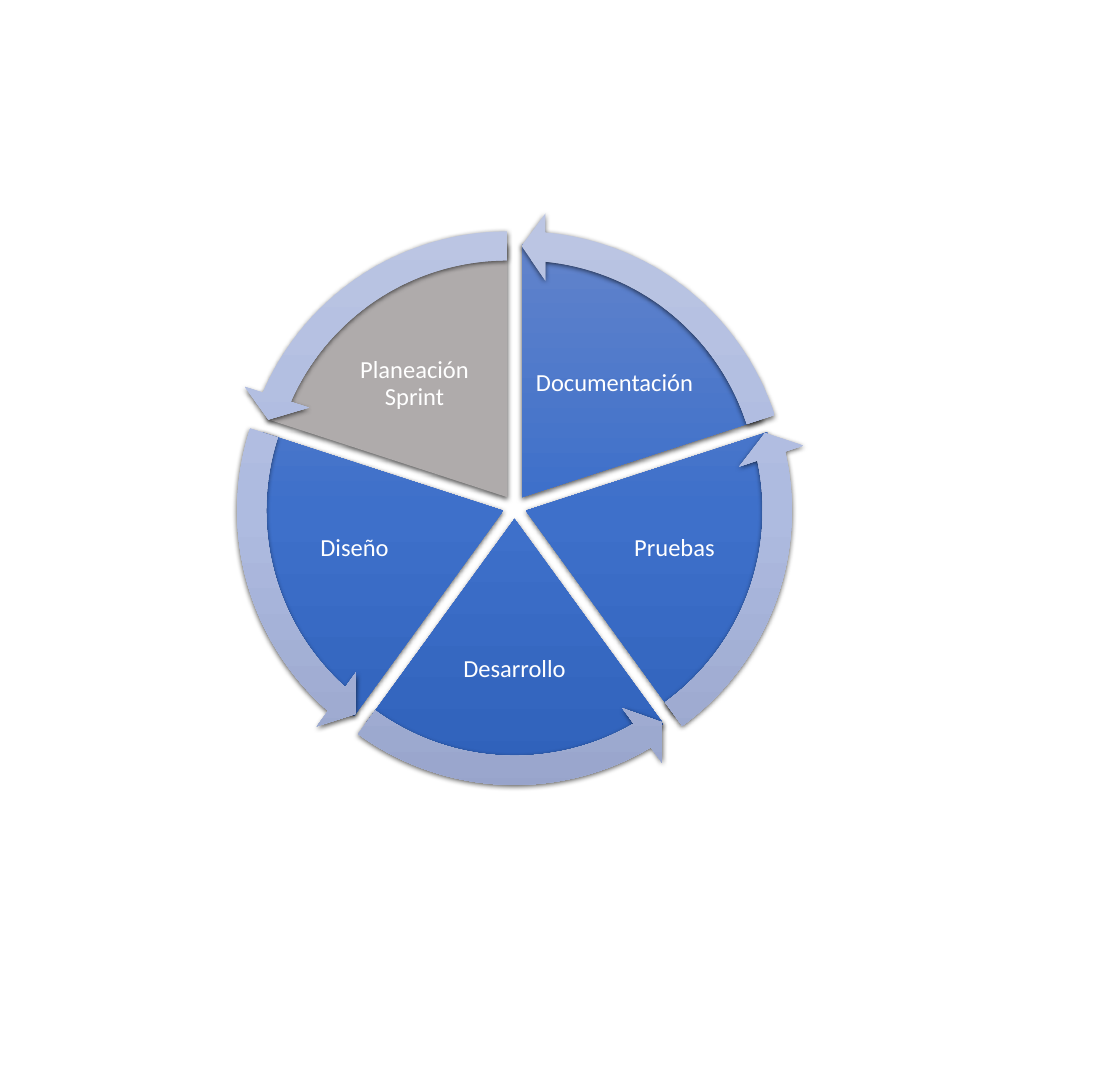
import math
import lxml.etree
import pptx
import pptx.util
from pptx.dml.color import RGBColor
from pptx.enum.shapes import MSO_SHAPE
from pptx.enum.text import MSO_ANCHOR, PP_ALIGN
from pptx.oxml.ns import qn

SCALE = 914400 // 84
COLORS = {
    "sector": ("6183CB", "3E70CA", "3062BB"),
    "arrow": ("BBC5E3", "AEBBE0", "98A4CB"),
    "planning": "AFABAB",
    "label": "FFFFFF",
    "shadow": "000000",
}
STAGES = [
    ("Documentación", (100, -123), (164, 108)),
    ("Pruebas", (160, 42), (151, 121)),
    ("Desarrollo", (0, 163), (144, 133)),
    ("Diseño", (-160, 42), (151, 121)),
    ("Planeación Sprint", (-100, -123), (164, 108)),
]
SWEEP = 360 / len(STAGES)
ANGLE_UNIT = 0.6
SECTOR_SIZE, ARROW_SIZE, SECTOR_OFFSET = 507, 570, 12
ARROW_HEAD = 3.275


def px(*lengths):
    return [pptx.util.Emu(round(length * SCALE)) for length in lengths]


def centered(x, y, width, height):
    return px(x - width / 2, y - height / 2, width, height)


def add_child(parent, tag, **attributes):
    return lxml.etree.SubElement(parent, qn(tag), attributes)


def paint_gradient(shape, colors):
    shape.fill.gradient()
    gradient = shape._element.spPr.find(qn("a:gradFill"))
    for child in list(gradient):
        gradient.remove(child)
    stops = add_child(gradient, "a:gsLst")
    for position, color in zip((0, 50000, 100000), colors):
        stop = add_child(stops, "a:gs", pos=str(position))
        add_child(stop, "a:srgbClr", val=color)
    add_child(gradient, "a:lin", ang="5400000", scaled="0")


def add_shadow(shape):
    shape.shadow.inherit = False
    effects = shape._element.spPr.find(qn("a:effectLst"))
    shadow = add_child(effects, "a:outerShdw", blurRad="57150", dist="19050",
                       dir="5400000", algn="ctr", rotWithShape="0")
    color = add_child(shadow, "a:srgbClr", val=COLORS["shadow"])
    add_child(color, "a:alpha", val="63000")


def add_wheel_part(slide, kind, center, size, adjustments, fill):
    part = slide.shapes.add_shape(kind, *centered(*center, size, size))
    for index, value in enumerate(adjustments):
        part.adjustments[index] = value
    if isinstance(fill, str):
        part.fill.solid()
        part.fill.fore_color.rgb = RGBColor.from_string(fill)
    else:
        paint_gradient(part, fill)
    part.line.fill.background()
    add_shadow(part)


def add_label(slide, text, center, size):
    label = slide.shapes.add_textbox(*centered(*center, *size))
    frame = label.text_frame
    frame.word_wrap = True
    frame.vertical_anchor = MSO_ANCHOR.MIDDLE
    inset = px(2)[0]
    frame.margin_left = frame.margin_right = inset
    frame.margin_top = frame.margin_bottom = inset
    frame.text = text
    paragraph = frame.paragraphs[0]
    paragraph.alignment = PP_ALIGN.CENTER
    paragraph.line_spacing = 0.9
    font = paragraph.runs[0].font
    font.name = "Calibri"
    font.size = pptx.util.Pt(21)
    font.color.rgb = RGBColor.from_string(COLORS["label"])


def add_sprint_wheel(slide, left, top, width, height):
    hub_x, hub_y = left + width / 2, top + height / 2
    arrows = []
    for index, (name, (dx, dy), label_size) in enumerate(STAGES):
        start = (270 + index * SWEEP) % 360
        end = (start + SWEEP) % 360
        middle = math.radians(start + SWEEP / 2)
        center = (hub_x + SECTOR_OFFSET * math.cos(middle),
                  hub_y + SECTOR_OFFSET * math.sin(middle))
        first, last = start * ANGLE_UNIT, end * ANGLE_UNIT
        is_planning = index == len(STAGES) - 1
        fill = COLORS["planning" if is_planning else "sector"]
        add_wheel_part(slide, MSO_SHAPE.PIE, center, SECTOR_SIZE, (first, last), fill)
        add_label(slide, name, (hub_x + dx, hub_y + dy), label_size)
        arrows.append((center, (0.051, ARROW_HEAD, first + ARROW_HEAD, last, 0.059)))
    for center, adjustments in arrows:
        add_wheel_part(slide, MSO_SHAPE.LEFT_CIRCULAR_ARROW, center, ARROW_SIZE,
                       adjustments, COLORS["arrow"])


presentation = pptx.Presentation()
presentation.slide_width, presentation.slide_height = px(1120, 1091)
sprint_slide = presentation.slides.add_slide(presentation.slide_layouts[6])
add_sprint_wheel(sprint_slide, 217, 210, 595, 594)
presentation.save("out.pptx")
